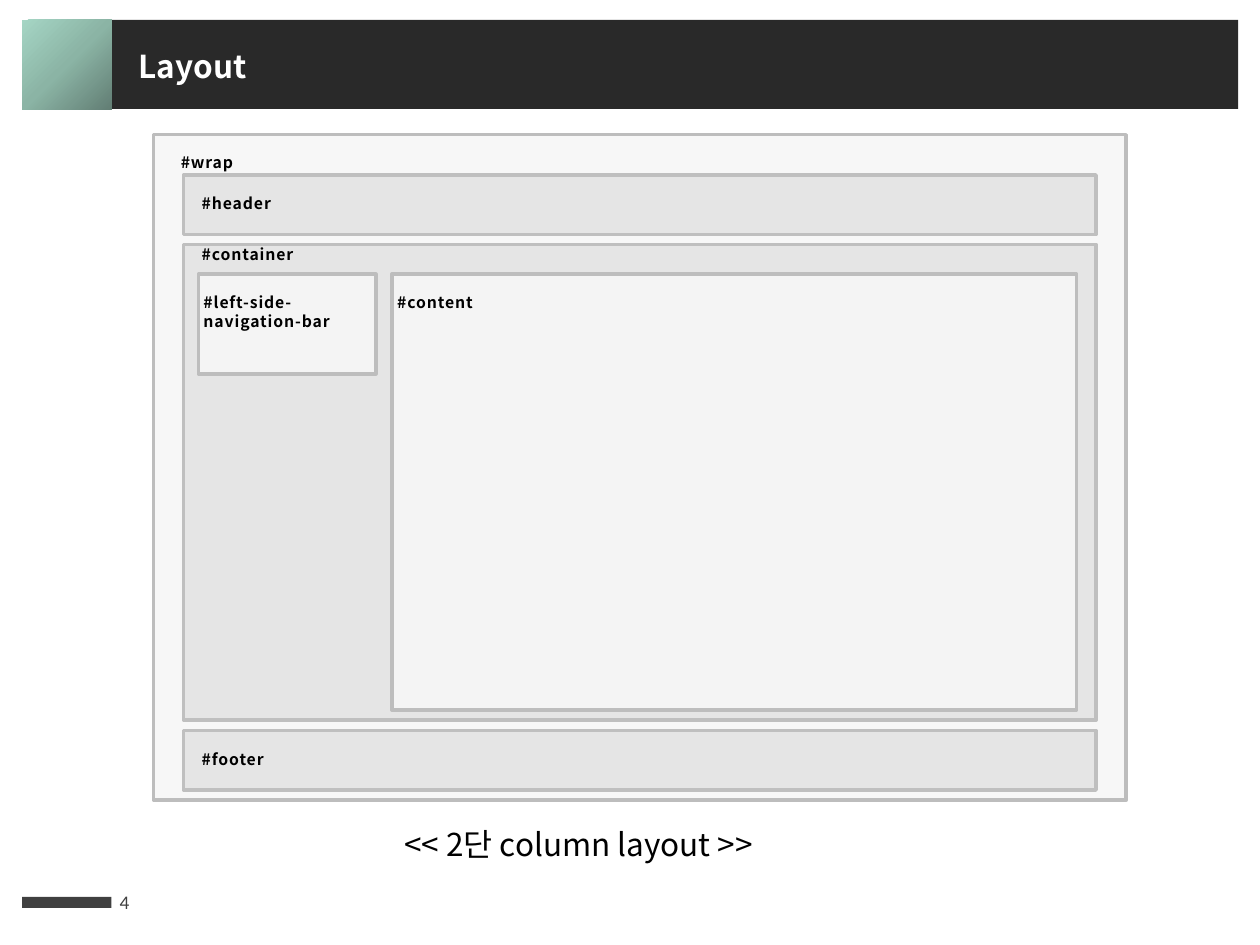
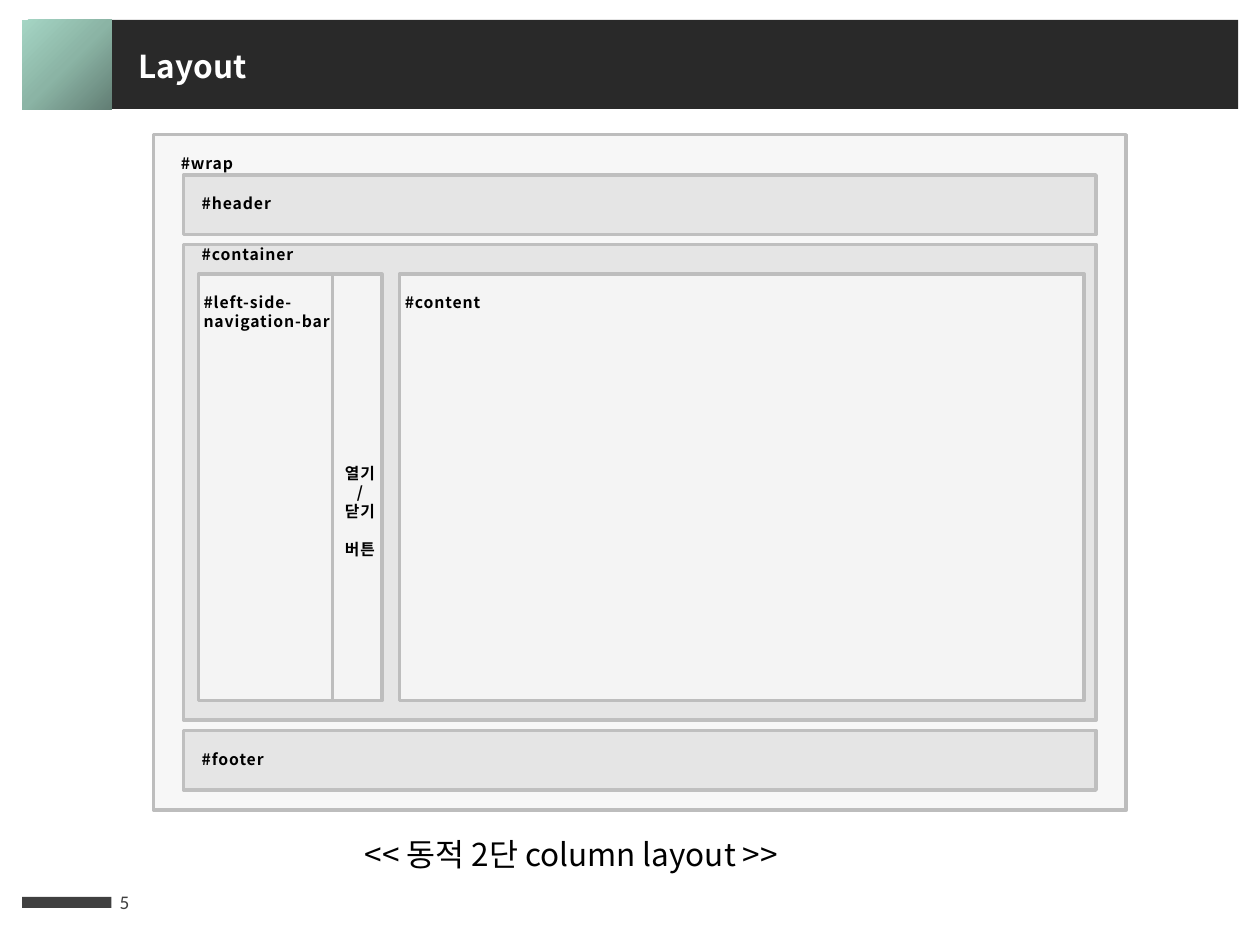
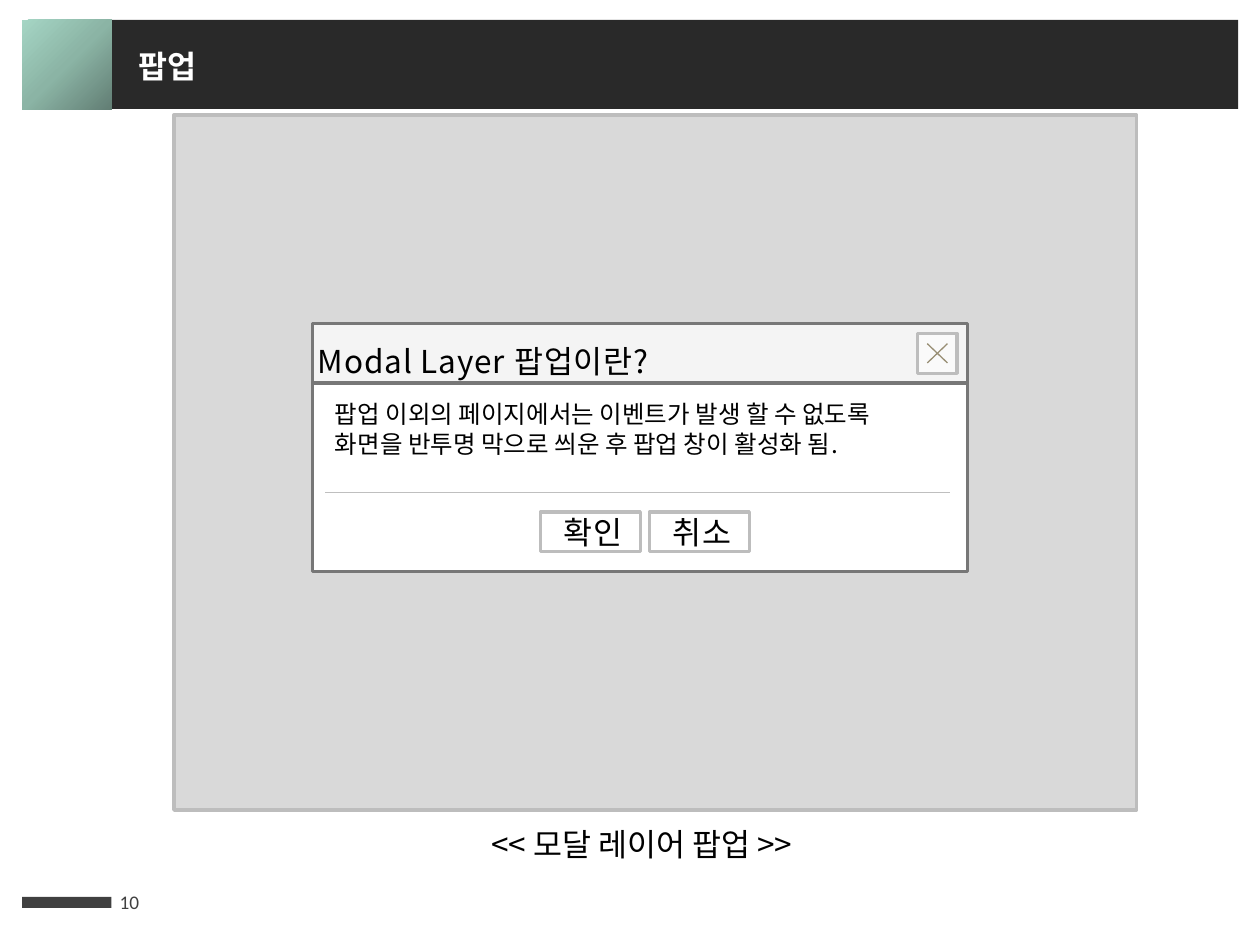
from lxml import etree
from pptx import Presentation
from pptx.dml.color import RGBColor
from pptx.enum import shapes, text
from pptx.oxml import parse_xml
from pptx.oxml.ns import nsdecls, qn
from pptx.util import Pt

KOREAN = "Noto Sans CJK KR"
BLACK, WHITE, BAND, FOOTER_GREY = "000000", "FFFFFF", "292929", "404040"
PAGE, PANEL, VEIL, TITLE_BAR = "F7F7F7", "E5E5E5", "D9D9D9", "F4F4F4"
EDGE, PANEL_EDGE, POPUP_EDGE, CROSS = "BDBDBD", "BFBFBF", "777777", "988E74"
GRADIENT = f"""<a:gradFill {nsdecls('a')} rotWithShape="1"><a:gsLst>
<a:gs pos="0"><a:srgbClr val="627E74"/></a:gs>
<a:gs pos="50000"><a:srgbClr val="8BB4A5"/></a:gs>
<a:gs pos="100000"><a:srgbClr val="A5D5C4"/></a:gs></a:gsLst>
<a:path path="circle"><a:fillToRect l="100000" t="100000"/></a:path></a:gradFill>"""


def add_box(slide, place, fill, edge=None, opacity=100):
    box = slide.shapes.add_shape(shapes.MSO_SHAPE.RECTANGLE, *map(Pt, place))
    box.shadow.inherit = False
    box.fill.solid()
    box.fill.fore_color.rgb = RGBColor.from_string(fill)
    if opacity < 100:
        shade = box._element.spPr.find(".//" + qn("a:srgbClr"))
        etree.SubElement(shade, qn("a:alpha")).set("val", str(opacity * 1000))
    if edge:
        box.line.color.rgb = RGBColor.from_string(edge)
        box.line.width = Pt(2)
    else:
        box.line.fill.background()
    return box


def write(shape, lines, size, color=BLACK, bold=False, face=KOREAN, spacing=0, leading=1.22,
          align=text.PP_ALIGN.LEFT, anchor=text.MSO_ANCHOR.TOP, insets=(7.2, 3.6, 7.2, 3.6)):
    frame = shape.text_frame
    frame.word_wrap = True
    frame.vertical_anchor = anchor
    frame.margin_left, frame.margin_top, frame.margin_right, frame.margin_bottom = map(Pt, insets)
    frame.text = lines
    for paragraph in frame.paragraphs:
        paragraph.alignment = align
        paragraph.line_spacing = Pt(round(size * leading))
        font = paragraph.font
        font.size, font.bold, font.name = Pt(size), bold, face
        font.color.rgb = RGBColor.from_string(color)
        defaults = paragraph._p.pPr.find(qn("a:defRPr"))
        defaults.set("kern", "0")
        if spacing:
            defaults.set("spc", str(int(spacing * 100)))
        etree.SubElement(defaults, qn("a:ea")).set("typeface", face)
    return frame


deck = Presentation()
deck.slide_width, deck.slide_height = Pt(720), Pt(540)

pages = [
    ("Layout", "4", "<< 2단 column layout >>", (224, 467.4, 340, 29)),
    ("Layout", "5", "<< 동적 2단 column layout >>", (201.3, 473, 340, 29)),
    ("팝업", "10", "<< 모달 레이어 팝업 >>", (273.6, 467.4, 209.5, 29)),
]
slides = []
for title, number, caption, caption_place in pages:
    slide = deck.slides.add_slide(deck.slide_layouts[6])
    slides.append(slide)
    add_box(slide, (64, 11.3, 643.5, 51), BAND)
    corner = add_box(slide, (12.7, 11.3, 51.3, 51.3), WHITE)
    solid = corner._element.spPr.find(qn("a:solidFill"))
    solid.getparent().replace(solid, parse_xml(GRADIENT))
    add_box(slide, (12.7, 512.6, 51, 6.3), FOOTER_GREY)
    write(slide.shapes.add_textbox(Pt(61.2), Pt(501.2), Pt(42.5), Pt(29)), number, 11,
          color=FOOTER_GREY, face="Calibri", anchor=text.MSO_ANCHOR.MIDDLE)
    write(slide.shapes.add_textbox(Pt(72.2), Pt(23), Pt(464), Pt(29)), title, 18,
          color=WHITE, bold=True)
    write(slide.shapes.add_textbox(*map(Pt, caption_place)), caption, 18)

panel_left, panel_width, inner_top = 104.9, 521.4, 156.6
layouts = [
    (slides[0], 380.3, (224, 249.2), (101.3, 57)),
    (slides[1], 386, (228.3, 243.8), (76.5, 243.8)),
]
for slide, wrap_height, (content_left, content_height), (nav_width, nav_height) in layouts:
    regions = [
        ("#wrap", (87.8, 77, 555.8, wrap_height), PAGE, EDGE, 100, 15.5, 10.4),
        ("#container", (panel_left, 139.6, panel_width, 272), PANEL, PANEL_EDGE, 100, 10.4, 0),
        ("#content", (content_left, inner_top, 391.2, content_height), WHITE, EDGE, 60, 3, 10.4),
        ("#left-side-\nnavigation-bar", (113.5, inner_top, nav_width, nav_height),
         WHITE, EDGE, 60, 2.8, 10.4),
        ("#header", (panel_left, 100, panel_width, 34), PANEL, PANEL_EDGE, 100, 10.4, 10.4),
        ("#footer", (panel_left, 417.5, panel_width, 34), PANEL, PANEL_EDGE, 100, 10.4, 10.8),
    ]
    for label, place, fill, edge, opacity, indent, drop in regions:
        write(add_box(slide, place, fill, edge, opacity), label, 9, bold=True, spacing=0.5,
              insets=(indent, drop, 0, 0))

toggle = add_box(slides[1], (190, inner_top, 28.2, 243.8), WHITE, EDGE, 60)
toggle_text = write(toggle, "열기\n/\n닫기\n버튼", 9, bold=True, spacing=0.5,
                    align=text.PP_ALIGN.CENTER, insets=(3, 108, 0, 0))
toggle_text.paragraphs[3].space_before = Pt(10.6)

modal = slides[2]
add_box(modal, (99.4, 65.8, 550, 397.1), VEIL, EDGE)
add_box(modal, (178.6, 218.9, 374.4, 107.8), WHITE, POPUP_EDGE)
write(modal.shapes.add_textbox(Pt(184.3), Pt(224.2), Pt(362.9), Pt(41)),
      "팝업 이외의 페이지에서는 이벤트가 발생 할 수 없도록 "
      "화면을 반투명 막으로 씌운 후 팝업 창이 활성화 됨.", 14, insets=(7.2, 3.6, 14, 3.6))
write(add_box(modal, (178.6, 185, 374.4, 33.9), TITLE_BAR, POPUP_EDGE),
      "Modal Layer 팝업이란?", 18, spacing=0.5, leading=1.8, insets=(3, 0, 0, 0))
add_box(modal, (524.2, 190.6, 22.8, 22.8), WHITE, EDGE, 60)
for button_left, answer, opacity in [(308.9, "확인", 60), (371.2, "취소", 100)]:
    write(add_box(modal, (button_left, 292.5, 57, 22.8), WHITE, EDGE, opacity), answer, 18,
          spacing=0.5, align=text.PP_ALIGN.CENTER, insets=(3, 0, 0, 0))

strokes = [
    ((541.4, 196.4, 529.9, 207.4), CROSS),
    ((529.9, 196.4, 541.4, 207.4), CROSS),
    ((185.8, 281.5, 542.9, 281.5), PANEL_EDGE),
]
for ends, color in strokes:
    stroke = modal.shapes.add_connector(shapes.MSO_CONNECTOR.STRAIGHT, *map(Pt, ends))
    stroke.line.color.rgb = RGBColor.from_string(color)
    stroke.line.width = Pt(0.75)
    etree.SubElement(stroke._element.spPr, qn("a:effectLst"))

deck.save("out.pptx")
